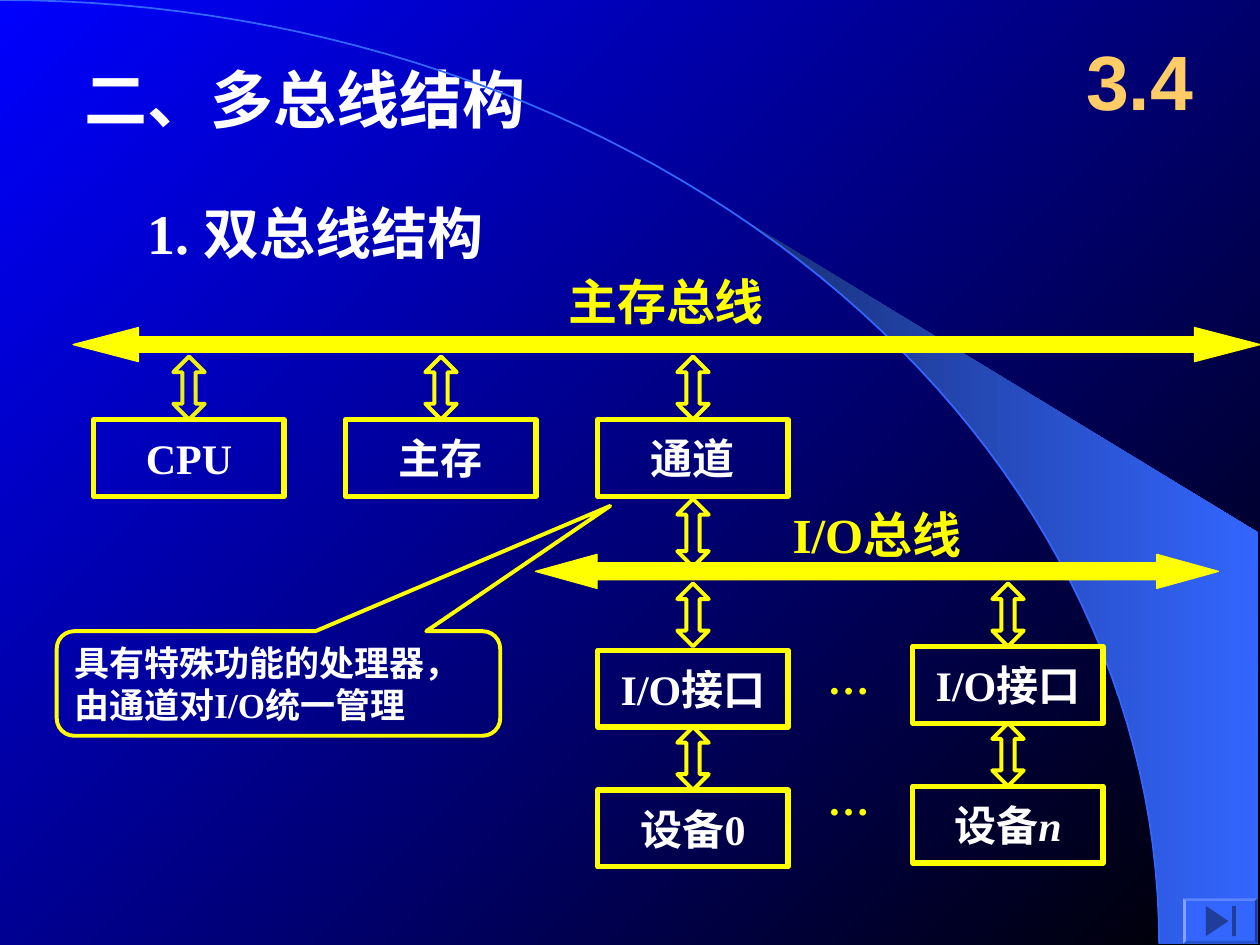
from math import asin, cos, pi, sin

from lxml.etree import SubElement
from pptx import Presentation
from pptx.dml.color import RGBColor
from pptx.enum.shapes import MSO_SHAPE as Preset
from pptx.enum.text import MSO_ANCHOR as Anchor, PP_ALIGN as Align
from pptx.oxml.ns import qn
from pptx.util import Inches, Pt

SERIF, SANS, CJK = "Times New Roman", "Arial", "Noto Sans CJK SC"
WHITE, YELLOW, BLUE = "FFFFFF", "FFFF00", "3366FF"
BOX_WIDTH, BOX_HEIGHT = 1.51, 0.61


def color(hex_text):
    return RGBColor.from_string(hex_text)


def set_gradient(fill, start, end, angle):
    fill.gradient()
    fill.gradient_angle = angle
    for stop, hex_text in zip(fill.gradient_stops, (start, end)):
        stop.color.rgb = color(hex_text)


def style(shape, fill=None, line=None, width=1.0):
    shape.shadow.inherit = False
    if fill:
        shape.fill.solid()
        shape.fill.fore_color.rgb = color(fill)
    else:
        shape.fill.background()
    if line:
        shape.line.color.rgb = color(line)
        shape.line.width = Pt(width)
    else:
        shape.line.fill.background()


def add_preset(page, preset, box, adjustments=(), **look):
    shape = page.shapes.add_shape(preset, *map(Inches, box))
    for index, value in enumerate(adjustments):
        shape.adjustments[index] = value
    style(shape, **look)
    return shape


def add_outline(page, points, close):
    points = [(Inches(x), Inches(y)) for x, y in points]
    builder = page.shapes.build_freeform(*points[0])
    builder.add_line_segments(points[1:], close=close)
    return builder.convert_to_shape()


def add_span(para, text, size, hex_text, font=SERIF, italic=False):
    span = para.add_run()
    span.text = text
    span.font.name = font
    span.font.size = Pt(size)
    span.font.bold = True
    span.font.italic = italic
    span.font.color.rgb = color(hex_text)
    SubElement(span.font._element, qn("a:ea"), typeface=CJK)


def setup_frame(frame, inset=(0.1, 0.05)):
    frame.word_wrap = True
    frame.vertical_anchor = Anchor.MIDDLE
    frame.margin_left = frame.margin_right = Inches(inset[0])
    frame.margin_top = frame.margin_bottom = Inches(inset[1])


def add_label(page, box, text, size, hex_text, font=SERIF, inset=(0.1, 0.05),
              align=Align.LEFT):
    label = page.shapes.add_textbox(*map(Inches, box))
    setup_frame(label.text_frame, inset)
    para = label.text_frame.paragraphs[0]
    para.alignment = align
    add_span(para, text, size, hex_text, font)


def add_backdrop(page, width, height):
    set_gradient(page.background.fill, "0000FF", "000000", 315)

    def arc(start, steps=60):
        angles = [start + (pi / 2 - start) * i / steps for i in range(steps + 1)]
        return [(width * sin(a), height * (1 - cos(a))) for a in angles]

    # Crescent to the right of the arc
    tip = asin(5.89 / width)
    crescent = add_outline(page, arc(tip) + [(9.99, height), (9.99, 4.23)], True)
    style(crescent)
    set_gradient(crescent.fill, "182F76", BLUE, 0)
    # Thin arc
    style(add_outline(page, arc(0), False), line=BLUE, width=1)


def add_headings(page):
    title = page.shapes.title
    title.left, title.top, title.width, title.height = map(
        Inches, (0.57, 0.43, 4.2, 0.7))
    setup_frame(title.text_frame)
    para = title.text_frame.paragraphs[0]
    para.alignment = Align.LEFT
    add_span(para, "二、多总线结构", 36, WHITE)
    add_label(page, (1.07, 1.52, 3.5, 0.64), "1. 双总线结构", 32, WHITE)
    add_label(page, (8.42, 0.17, 1.25, 0.92), "3.4", 44, "FFCC66", SANS,
              align=Align.CENTER)


def add_bus(page, box, adjustments, label, label_box, font):
    add_preset(page, Preset.LEFT_RIGHT_ARROW, box, adjustments,
               fill=YELLOW, line=YELLOW, width=0.75)
    add_label(page, label_box, label, 28, YELLOW, font, inset=(0, 0))


def add_link(page, center, top, height=0.5, line=YELLOW):
    add_preset(page, Preset.UP_DOWN_ARROW, (center - 0.125, top, 0.25, height),
               (0.5, 0.42), line=line, width=2.25)


def add_unit(page, center, top, spans, font=SERIF):
    """Outlined box centred on a column; spans are (text, italic) pairs."""
    unit = add_preset(page, Preset.RECTANGLE,
                      (center - BOX_WIDTH / 2, top, BOX_WIDTH, BOX_HEIGHT),
                      line=YELLOW, width=3)
    setup_frame(unit.text_frame, (0, 0))
    para = unit.text_frame.paragraphs[0]
    para.alignment = Align.CENTER
    for text, italic in spans:
        add_span(para, text, 24, WHITE, font, italic)


def add_device_column(page, center, top, device):
    add_link(page, center, 4.63)
    add_unit(page, center, top, [("I/O接口", False)])
    add_link(page, center, top + BOX_HEIGHT)
    add_unit(page, center, top + 1.11, device)


def add_callout(page, box):
    callout = add_preset(page, Preset.ROUNDED_RECTANGULAR_CALLOUT, box,
                         (0.748, -1.698, 0.167), line=YELLOW, width=2.25)
    frame = callout.text_frame
    setup_frame(frame)
    for index, text in enumerate(("具有特殊功能的处理器，", "由通道对I/O统一管理")):
        para = frame.add_paragraph() if index else frame.paragraphs[0]
        para.alignment = Align.LEFT
        para.line_spacing = Pt(24)
        add_span(para, text, 20, WHITE)


def add_end_button(page, box):
    left, top, width, height = box
    add_preset(page, Preset.BEVEL, box, (0.06,), fill=BLUE)
    icon_top, icon_bottom = top + 0.06, top + height - 0.06
    triangle = [(left + 0.18, icon_top), (left + 0.36, top + height / 2),
                (left + 0.18, icon_bottom)]
    style(add_outline(page, triangle, True), fill="1F3D99")
    add_preset(page, Preset.RECTANGLE,
               (left + 0.39, icon_top, 0.03, icon_bottom - icon_top), fill="1F3D99")


def main():
    deck = Presentation()
    deck.slide_width, deck.slide_height = Inches(10), Inches(7.5)
    page = deck.slides.add_slide(deck.slide_layouts[5])
    add_backdrop(page, 9.2, 7.49)
    add_headings(page)
    add_callout(page, (0.45, 5.01, 3.52, 0.83))

    # Units on the memory bus
    for center, text, font, line in ((1.5, "CPU", SERIF, "EBF010"),
                                     (3.5, "主存", CJK, YELLOW),
                                     (5.5, "通道", CJK, YELLOW)):
        add_link(page, center, 2.83, line=line)
        add_unit(page, center, 3.33, [(text, False)], font)

    # Channel, interfaces and devices on the I/O bus
    add_link(page, 5.5, 3.96, 0.54)
    add_device_column(page, 5.5, 5.16, [("设备0", False)])
    add_device_column(page, 8, 5.13, [("设备", False), ("n", True)])
    for top in (5.13, 6.09):
        add_label(page, (6.47, top, 0.53, 0.5), "…", 24, YELLOW)

    # Buses
    add_bus(page, (0.58, 2.6, 9.42, 0.27), (0.46, 1.92),
            "主存总线", (4.51, 2.15, 2.66, 0.47), CJK)
    add_bus(page, (4.25, 4.4, 5.42, 0.27), (0.5, 1.81),
            "I/O总线", (6.29, 4, 2.21, 0.47), SERIF)
    add_end_button(page, (9.39, 7.13, 0.59, 0.36))
    deck.save("out.pptx")


if __name__ == "__main__":
    main()
